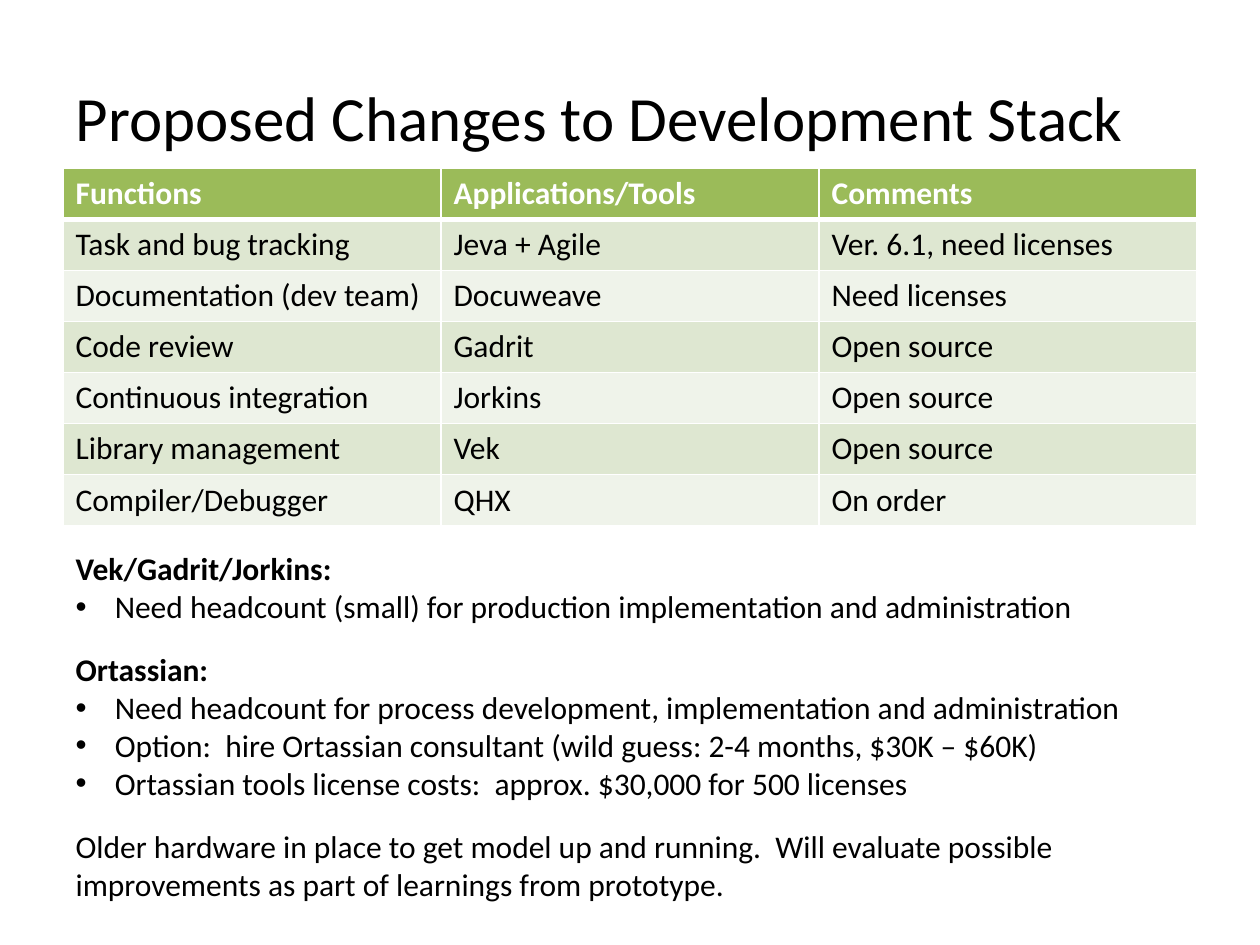
from lxml.etree import SubElement as Sub
from pptx import Presentation as Deck
from pptx.dml.color import RGBColor as Rgb
from pptx.enum.text import MSO_ANCHOR as Anchor, MSO_AUTO_SIZE as Fit, PP_ALIGN as Align
from pptx.oxml.ns import qn
from pptx.util import Cm, Pt

COLORS = {"head": "9BBB59", "odd": "DEE7D1", "even": "EFF3EA",
          "ink": "000000", "white": "FFFFFF"}

ROWS = [
    ("Functions", "Applications/Tools", "Comments"),
    ("Task and bug tracking", "Jeva + Agile", "Ver. 6.1, need licenses"),
    ("Documentation (dev team)", "Docuweave", "Need licenses"),
    ("Code review", "Gadrit", "Open source"),
    ("Continuous integration", "Jorkins", "Open source"),
    ("Library management", "Vek", "Open source"),
    ("Compiler/Debugger", "QHX", "On order"),
]

# Each note is its kind and its text.
NOTES = [
    ("head", "Vek/Gadrit/Jorkins:"),
    ("item", "Need headcount (small) for production implementation and administration"),
    ("head", "Ortassian:"),
    ("item", "Need headcount for process development, implementation and administration"),
    ("item", "Option:  hire Ortassian consultant (wild guess: 2-4 months, $30K – $60K)"),
    ("item", "Ortassian tools license costs:  approx. $30,000 for 500 licenses"),
    ("text", "Older hardware in place to get model up and running.  Will evaluate "
             "possible improvements as part of learnings from prototype."),
]


def assign(obj, vals):
    """Set attributes from a dict of values."""
    for key, val in vals.items():
        setattr(obj, key, val)


class Page:
    """Holds the style and the current slide."""

    font = "Calibri"
    size = 18

    def __init__(self, slide):
        """Keep the slide to draw on."""
        self.slide = slide

    def label(self, para, text, color="ink", size=size, bold=False):
        """Add a styled run to a paragraph."""
        run = para.add_run()
        run.text = text
        assign(run.font, {"name": self.font, "size": Pt(size), "bold": bold})
        run.font.color.rgb = Rgb.from_string(COLORS[color])

    def place(self, shape, box, anchor):
        """Move a placeholder and return its text frame."""
        assign(shape, dict(zip(("left", "top", "width", "height"), map(Cm, box))))
        frame = shape.text_frame
        assign(frame, {"word_wrap": True, "auto_size": Fit.NONE,
                       "vertical_anchor": anchor})
        return frame

    def title(self, text, box):
        """Fill the title placeholder."""
        para = self.place(self.slide.shapes.title, box, Anchor.MIDDLE).paragraphs[0]
        para.alignment = Align.LEFT
        self.label(para, text, size=36)

    def edge(self, cell, widths):
        """Draw white cell borders from a dict of side and width."""
        props = cell._tc.get_or_add_tcPr()
        for side, width in widths.items():
            line = Sub(props, qn(f"a:ln{side}"), w=str(Pt(width)))
            fill = Sub(line, qn("a:solidFill"))
            Sub(fill, qn("a:srgbClr"), val=COLORS["white"])

    def table(self, rows, box):
        """Add a table with a header and banded rows."""
        grid = self.slide.shapes.add_table(len(rows), len(rows[0]), *map(Cm, box)).table
        for r, row in enumerate(rows):
            head = r == 0
            band = "head" if head else "odd" if r % 2 else "even"
            for c, text in enumerate(row):
                cell = grid.cell(r, c)
                self.edge(cell, {"L": 1, "R": 1, "T": 3 if r == 1 else 1,
                                 "B": 3 if head else 1})
                cell.fill.solid()
                cell.fill.fore_color.rgb = Rgb.from_string(COLORS[band])
                self.label(cell.text_frame.paragraphs[0], text,
                           "white" if head else "ink", bold=head)

    def notes(self, notes, box):
        """Fill the body placeholder with heads, bullets and text."""
        frame = self.place(self.slide.placeholders[1], box, Anchor.TOP)
        for i, (kind, text) in enumerate(notes):
            para = frame.add_paragraph() if i else frame.paragraphs[0]
            item = kind == "item"
            gap = 0 if item or i == 0 else 14.5
            assign(para, {"space_before": Pt(gap), "space_after": Pt(0)})
            props = para._p.get_or_add_pPr()
            hang = Cm(0.79) if item else 0
            props.set("marL", str(hang))
            props.set("indent", str(-hang))
            if item:
                Sub(props, qn("a:buFont"), typeface="Arial")
                Sub(props, qn("a:buChar"), char="•")
            else:
                Sub(props, qn("a:buNone"))
            self.label(para, text, bold=kind == "head")


def main():
    """Build and save the slide."""
    deck = Deck()
    assign(deck, {"slide_width": Cm(25.4), "slide_height": Cm(19.05)})
    page = Page(deck.slides.add_slide(deck.slide_layouts[1]))
    page.title("Proposed Changes to Development Stack", (1.27, 0.76, 22.86, 3.18))
    page.table(ROWS, (1.27, 3.39, 22.86, 7.2))
    page.notes(NOTES, (1.27, 10.95, 21.8, 8.2))
    deck.save("out.pptx")


main()
